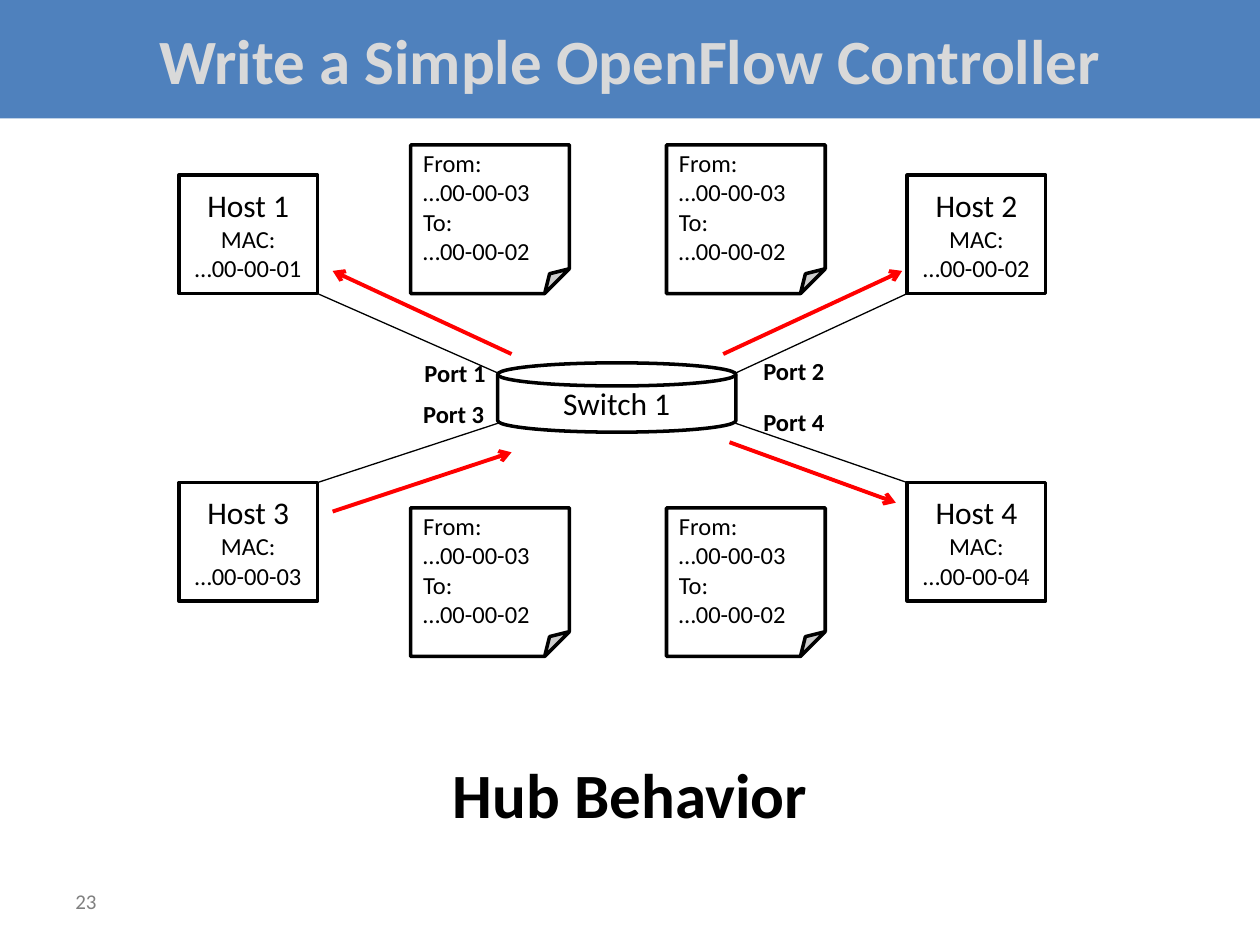
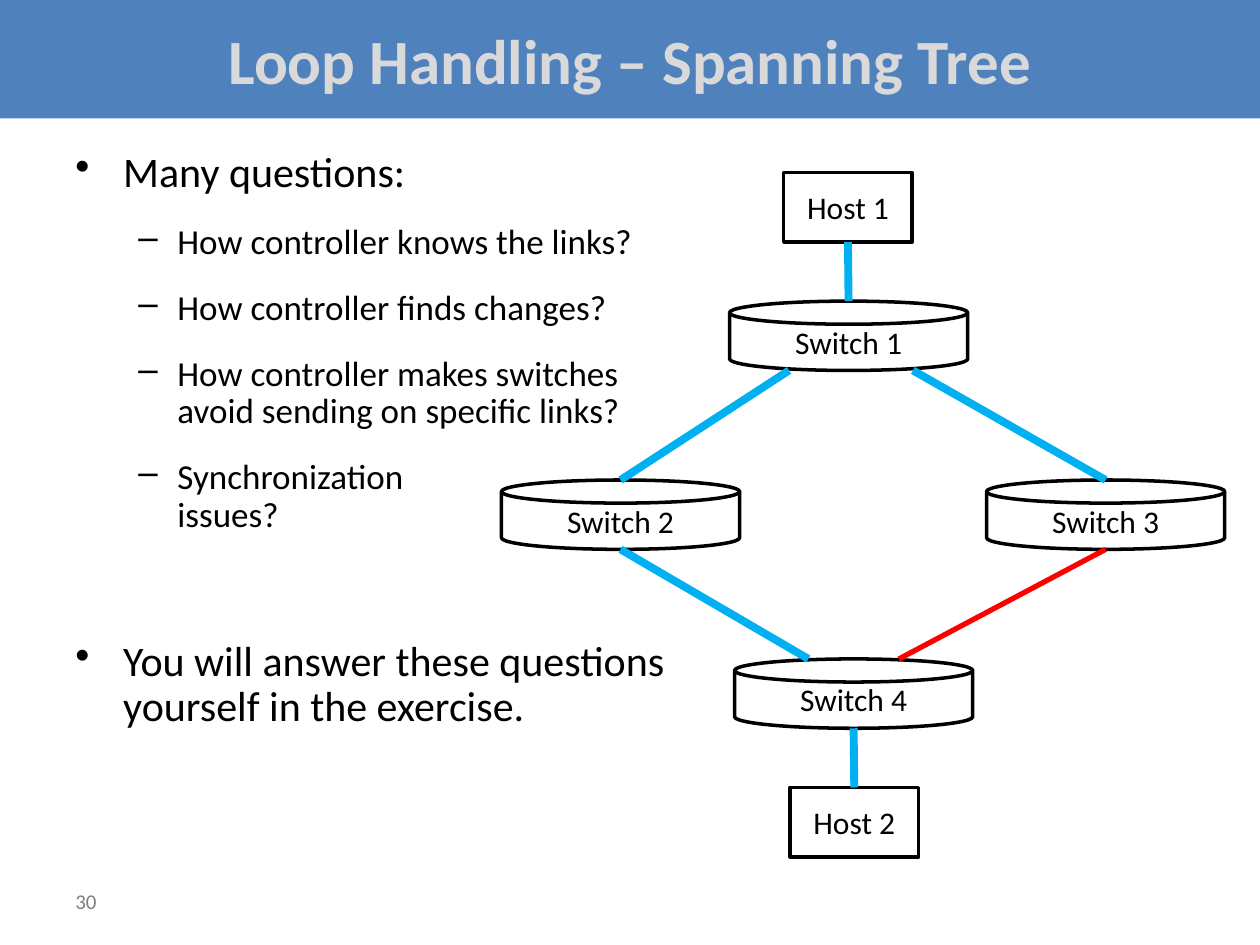
from itertools import product

from lxml import etree
from pptx import Presentation
from pptx.dml.color import RGBColor
from pptx.enum.shapes import MSO_CONNECTOR, MSO_SHAPE
from pptx.enum.text import MSO_ANCHOR, PP_ALIGN
from pptx.oxml.ns import qn
from pptx.util import Emu, Inches, Pt

RECTANGLE = MSO_SHAPE.RECTANGLE
DISK = MSO_SHAPE.FLOWCHART_MAGNETIC_DISK
NOTE = MSO_SHAPE.FOLDED_CORNER
STRAIGHT = MSO_CONNECTOR.STRAIGHT
LEFT, CENTER = PP_ALIGN.LEFT, PP_ALIGN.CENTER
TOP, MIDDLE = MSO_ANCHOR.TOP, MSO_ANCHOR.MIDDLE

FONT = "Calibri"
COLORS = {
    "band": "4F81BD",
    "title": "D9D9D9",
    "number": "808080",
    "ink": "000000",
    "paper": "FFFFFF",
    "flow": "FF0000",
    "tree": "00B0F0",
}

presentation = Presentation()
presentation.slide_width = Inches(10)
presentation.slide_height = Inches(7.5)

# Square grid: 100 columns by 75 rows
CELL = presentation.slide_width / 100
SWITCH_WIDTH, SWITCH_HEIGHT = 18.9, 5.5


def add_text(slide, kind, area, lines, sizes, color="ink", fill=None, outline=None,
             bold=False, align=CENTER, anchor=MIDDLE, wrap=True):
    """Add a preset shape, or a text box if kind is None, with one paragraph per line."""
    box = [Emu(round(cells * CELL)) for cells in area]
    if kind is None:
        shape = slide.shapes.add_textbox(*box)
    else:
        shape = slide.shapes.add_shape(kind, *box)
        shape.shadow.inherit = False
        shape.fill.solid()
        shape.fill.fore_color.rgb = RGBColor.from_string(COLORS[fill])
        if outline:
            shape.line.color.rgb = RGBColor.from_string(COLORS[outline])
            shape.line.width = Pt(2)
        else:
            shape.line.fill.background()
    text_frame = shape.text_frame
    text_frame.text = "\n".join(lines)
    text_frame.word_wrap = wrap
    text_frame.vertical_anchor = anchor
    for paragraph, size in zip(text_frame.paragraphs, sizes):
        paragraph.alignment = align
        for run in paragraph.runs:
            run.font.name = FONT
            run.font.size = Pt(size)
            run.font.bold = bold
            run.font.color.rgb = RGBColor.from_string(COLORS[color])
    return shape


def add_link(slide, start, end, color, width, arrow=False):
    ends = [Emu(round(cells * CELL)) for cells in (*start, *end)]
    link = slide.shapes.add_connector(STRAIGHT, *ends)
    link.line.color.rgb = RGBColor.from_string(COLORS[color])
    link.line.width = Pt(width)
    properties = link._element.spPr
    if arrow:
        etree.SubElement(properties.find(qn("a:ln")), qn("a:tailEnd"), type="arrow")
    etree.SubElement(properties, qn("a:effectLst"))


# Title band and page number on both slides
slides = []
for title, number in (("Write a Simple OpenFlow Controller", "23"),
                      ("Loop Handling – Spanning Tree", "30")):
    slide = presentation.slides.add_slide(presentation.slide_layouts[6])
    add_text(slide, RECTANGLE, (0, 0, 100, 9.4), [title], [36], "title", "band", bold=True)
    add_text(slide, None, (5, 69.5, 23.3, 4), [number], [12], "number", align=LEFT)
    slides.append(slide)
hub_slide, tree_slide = slides

# Hub: central switch
switch_left, switch_top = 39.5, 28.8
add_text(hub_slide, DISK, (switch_left, switch_top, SWITCH_WIDTH, SWITCH_HEIGHT),
         ["Switch 1"], [18], fill="paper", outline="ink")

# Hub: a host, its link and a packet in each quadrant
host_width, host_height = 11, 9.4
host_columns, host_rows = (14.2, 72), (13.9, 38.3)
packet_columns, packet_rows = (32.6, 52.9), (11.5, 40.3)
switch_sides = (switch_left, switch_left + SWITCH_WIDTH)
link_rows = (29.6, 33.6)
packet_lines = ["From:", "…00-00-03", "To:", "…00-00-02"]

for number, (row, column) in enumerate(product(range(2), repeat=2), start=1):
    left, top = host_columns[column], host_rows[row]
    add_text(hub_slide, RECTANGLE, (left, top, host_width, host_height),
             [f"Host {number}", "MAC:", f"…00-00-0{number}"], [18, 14, 14],
             fill="paper", outline="ink")
    corner = (left + host_width * (1 - column), top + host_height * (1 - row))
    add_link(hub_slide, corner, (switch_sides[column], link_rows[row]), "ink", 0.75)
    add_text(hub_slide, NOTE, (packet_columns[column], packet_rows[row], 12.6, 11.8),
             packet_lines, [14] * 4, fill="paper", outline="ink", align=LEFT)

# Hub: packet flow, in from host 3 and out to the others
for start, end in (
    ((26.4, 40.6), (40.6, 35.9)),
    ((57.4, 28.1), (71.6, 21.5)),
    ((40.6, 28.1), (26.4, 21.5)),
    ((57.9, 35.1), (71.1, 39.9)),
):
    add_link(hub_slide, start, end, "flow", 2.25, arrow=True)

# Hub: port labels and caption
port_corners = ((32.7, 27.9), (59.6, 27.8), (32.6, 31.2), (59.6, 31.8))
for number, corner in enumerate(port_corners, start=1):
    add_text(hub_slide, None, (*corner, 6.9, 3.4), [f"Port {number}"], [14],
             bold=True, align=LEFT, anchor=TOP, wrap=False)
add_text(hub_slide, None, (34.8, 59.5, 30.4, 7.1), ["Hub Behavior"], [36],
         bold=True, anchor=TOP, wrap=False)

# Spanning tree: questions as (level, space before, text)
questions = [
    (0, 4.8, "Many questions:"),
    (1, 4, "How controller knows the links?"),
    (1, 4, "How controller finds changes?"),
    (1, 4, "How controller makes switches\vavoid sending on specific links?"),
    (1, 4, "Synchronization\vissues?"),
    (0, 48, "You will answer these questions\vyourself in the exercise."),
]
# Bullet, size, left margin and hanging indent for each level
levels = (("•", 24, 0.38, 0.38), ("–", 20, 0.81, 0.31))
body = add_text(tree_slide, None, (5, 11.5, 90, 56.7),
                [text for _, _, text in questions],
                [levels[level][1] for level, _, _ in questions], align=LEFT, anchor=TOP)
for paragraph, (level, space_before, _) in zip(body.text_frame.paragraphs, questions):
    bullet, _, margin, hanging = levels[level]
    paragraph.level = level
    paragraph.line_spacing = 0.9
    paragraph.space_before = Pt(space_before)
    paragraph.space_after = Pt(12)
    properties = paragraph._p.get_or_add_pPr()
    properties.set("marL", str(Inches(margin)))
    properties.set("indent", str(-Inches(hanging)))
    etree.SubElement(properties, qn("a:buChar"), char=bullet)

# Spanning tree: hosts and switches
nodes = {
    "Switch 1": (57.9, 23.9),
    "Switch 4": (58.3, 52.3),
    "Switch 3": (78.3, 38.1),
    "Switch 2": (39.8, 38.1),
    "Host 1": (62.2, 13.7),
    "Host 2": (62.7, 62.5),
}
node_widths = {}
for name, corner in nodes.items():
    is_switch = name.startswith("Switch")
    node_widths[name] = SWITCH_WIDTH if is_switch else 10.2
    add_text(tree_slide, DISK if is_switch else RECTANGLE,
             (*corner, node_widths[name], SWITCH_HEIGHT), [name], [18],
             fill="paper", outline="ink")

# Spanning tree: links from the foot of one node to the head of the next,
# each end at a share of the node's width
for upper, upper_share, lower, lower_share, color, width in (
    ("Host 1", 0.5, "Switch 1", 0.5, "tree", 4.5),
    ("Switch 4", 0.5, "Host 2", 0.5, "tree", 4.5),
    ("Switch 2", 0.5, "Switch 4", 0.31, "tree", 4.5),
    ("Switch 3", 0.5, "Switch 4", 0.69, "flow", 3),
    ("Switch 1", 0.25, "Switch 2", 0.5, "tree", 4.5),
    ("Switch 1", 0.77, "Switch 3", 0.5, "tree", 4.5),
):
    start = (nodes[upper][0] + upper_share * node_widths[upper],
             nodes[upper][1] + SWITCH_HEIGHT)
    end = (nodes[lower][0] + lower_share * node_widths[lower], nodes[lower][1])
    add_link(tree_slide, start, end, color, width)

presentation.save("out.pptx")
